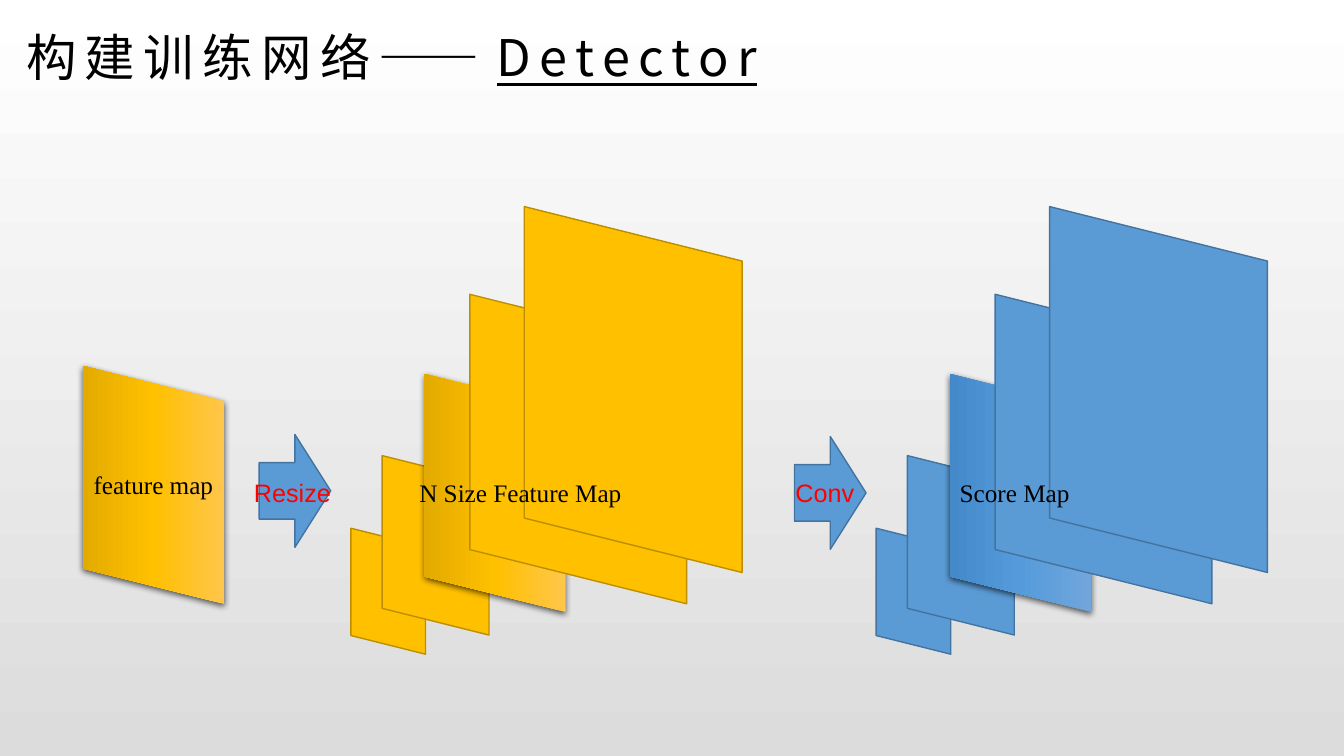
from lxml import etree
from pptx import Presentation
from pptx.dml.color import RGBColor
from pptx.enum.shapes import MSO_SHAPE
from pptx.enum.text import MSO_ANCHOR, MSO_AUTO_SIZE
from pptx.oxml.ns import qn
from pptx.util import Inches, Pt

SHEET = MSO_SHAPE.PARALLELOGRAM
ARROW = MSO_SHAPE.RIGHT_ARROW
TOP = MSO_ANCHOR.TOP
GROW = MSO_AUTO_SIZE.SHAPE_TO_FIT_TEXT

BLACK = RGBColor(0x00, 0x00, 0x00)
RED = RGBColor(0xFF, 0x00, 0x00)
BLUE = RGBColor(0x5B, 0x9B, 0xD5)
BLUE_EDGE = RGBColor(0x43, 0x73, 0x9E)
GOLD = RGBColor(0xFF, 0xC0, 0x00)
GOLD_EDGE = RGBColor(0xBD, 0x8E, 0x00)
BLUE_SHADES = [RGBColor(0x71, 0xA6, 0xDB), RGBColor(0x55, 0x9B, 0xDB), RGBColor(0x44, 0x8A, 0xCA)]
GOLD_SHADES = [RGBColor(0xFF, 0xC6, 0x4B), GOLD, RGBColor(0xE3, 0xAB, 0x00)]
BACKGROUND_SHADES = [RGBColor(0xFF, 0xFF, 0xFF), RGBColor(0xDC, 0xDC, 0xDC)]

TITLE_FONT = "Noto Sans CJK SC"
MAP_FONT = "Times New Roman"
STEP_FONT = "Arial"

# Left, top, width and height of each sheet inside its pyramid, back to front
PYRAMID_SHEETS = [
    (0, 3.19, 0.74, 1.25),
    (0.31, 2.47, 1.06, 1.78),
    (0.73, 1.66, 1.4, 2.36),
    (1.18, 0.87, 2.15, 3.07),
    (1.72, 0, 2.16, 3.63),
]
BASE_SHEET = 2  # the sheet that keeps the size of the input map


def set_gradient(fill, owner, shades):
    """Fill from top to bottom with evenly spaced shades."""
    fill.gradient()
    fill.gradient_angle = 270
    stops = next(owner.iter(qn("a:gsLst")))
    for stop in list(stops):
        stops.remove(stop)
    for index, shade in enumerate(shades):
        position = str(100000 * index // (len(shades) - 1))
        stop = etree.SubElement(stops, qn("a:gs"), pos=position)
        etree.SubElement(stop, qn("a:srgbClr"), val=str(shade))


def add_soft_shadow(shape):
    effects = shape.element.spPr.find(qn("a:effectLst"))
    shadow = etree.SubElement(effects, qn("a:outerShdw"), blurRad=str(Pt(4.5)),
                              dist=str(Pt(1.5)), dir="5400000", algn="ctr", rotWithShape="0")
    color = etree.SubElement(shadow, qn("a:srgbClr"), val=str(BLACK))
    etree.SubElement(color, qn("a:alpha"), val="63000")


def add_flat_shape(slide, kind, left, top, width, height, color, edge):
    shape = slide.shapes.add_shape(kind, Inches(left), Inches(top), Inches(width), Inches(height))
    shape.shadow.inherit = False
    shape.fill.solid()
    shape.fill.fore_color.rgb = color
    shape.line.color.rgb = edge
    shape.line.width = Pt(1)
    return shape


def add_sheet(slide, left, top, width, height, color, edge, shades=None):
    """Place an upright sheet: a parallelogram turned a quarter about its centre."""
    shift = (height - width) / 2
    sheet = add_flat_shape(slide, SHEET, left - shift, top + shift, height, width, color, edge)
    sheet.rotation = 90
    if shades:
        set_gradient(sheet.fill, sheet.element, shades)
        sheet.line.fill.background()
        add_soft_shadow(sheet)


def add_label(slide, text, left, top, width, font_name, color, wrap=False):
    box = slide.shapes.add_textbox(Inches(left), Inches(top), Inches(width), Inches(0.4))
    frame = box.text_frame
    frame.word_wrap = wrap
    frame.auto_size = GROW
    frame.text = text
    font = frame.paragraphs[0].runs[0].font
    font.name, font.size, font.color.rgb = font_name, Pt(18), color


def add_title(slide, left, top, width, height):
    box = slide.shapes.add_textbox(Inches(left), Inches(top), Inches(width), Inches(height))
    frame = box.text_frame
    frame.word_wrap = True
    frame.vertical_anchor = TOP
    frame.margin_left, frame.margin_right = Inches(0.11), Inches(0.03)
    frame.margin_top = frame.margin_bottom = Inches(0.04)
    paragraph = frame.paragraphs[0]
    paragraph.line_spacing = 0.9
    for text, underlined in (("构建训练网络——", False), ("Detector", True)):
        run = paragraph.add_run()
        run.text = text
        font = run.font
        font.name, font.size, font.color.rgb = TITLE_FONT, Pt(36), BLACK
        font.underline = underlined
        properties = run.font._element
        properties.set("spc", "600")
        etree.SubElement(properties, qn("a:ea"), typeface=TITLE_FONT)


def add_pyramid(slide, left, top, color, edge, shades):
    for index, (x, y, width, height) in enumerate(PYRAMID_SHEETS):
        add_sheet(slide, left + x, top + y, width, height, color, edge,
                  shades if index == BASE_SHEET else None)


def add_input_map(slide, left, top):
    add_sheet(slide, left, top, 1.4, 2.36, GOLD, GOLD_EDGE, GOLD_SHADES)
    add_label(slide, "feature map", left + 0.01, top + 0.98, 1.39, MAP_FONT, BLACK)


def add_step_arrow(slide, left, top):
    add_flat_shape(slide, ARROW, left, top, 0.71, 1.12, BLUE, BLUE_EDGE)


def build_slide(presentation):
    slide = presentation.slides.add_slide(presentation.slide_layouts[6])
    set_gradient(slide.background.fill, slide.element, BACKGROUND_SHADES)

    add_title(slide, 0.15, 0.29, 11.87, 0.84)

    # Maps
    add_pyramid(slide, 8.69, 2.05, BLUE, BLUE_EDGE, BLUE_SHADES)
    add_input_map(slide, 0.82, 3.63)
    add_pyramid(slide, 3.48, 2.05, GOLD, GOLD_EDGE, GOLD_SHADES)

    # Steps between the maps
    add_step_arrow(slide, 2.57, 4.31)
    add_step_arrow(slide, 7.88, 4.33)

    # Labels on one line
    label_top = 4.69
    add_label(slide, "Resize", 2.42, label_top, 1, STEP_FONT, RED, wrap=True)
    add_label(slide, "Conv", 7.79, label_top, 0.91, STEP_FONT, RED, wrap=True)
    add_label(slide, "N Size Feature Map", 4.06, label_top, 2.21, MAP_FONT, BLACK)
    add_label(slide, "Score Map", 9.42, label_top, 1.29, MAP_FONT, BLACK)


def main():
    presentation = Presentation()
    presentation.slide_width = Inches(13.33)
    presentation.slide_height = Inches(7.5)
    build_slide(presentation)
    presentation.save("out.pptx")


if __name__ == "__main__":
    main()
